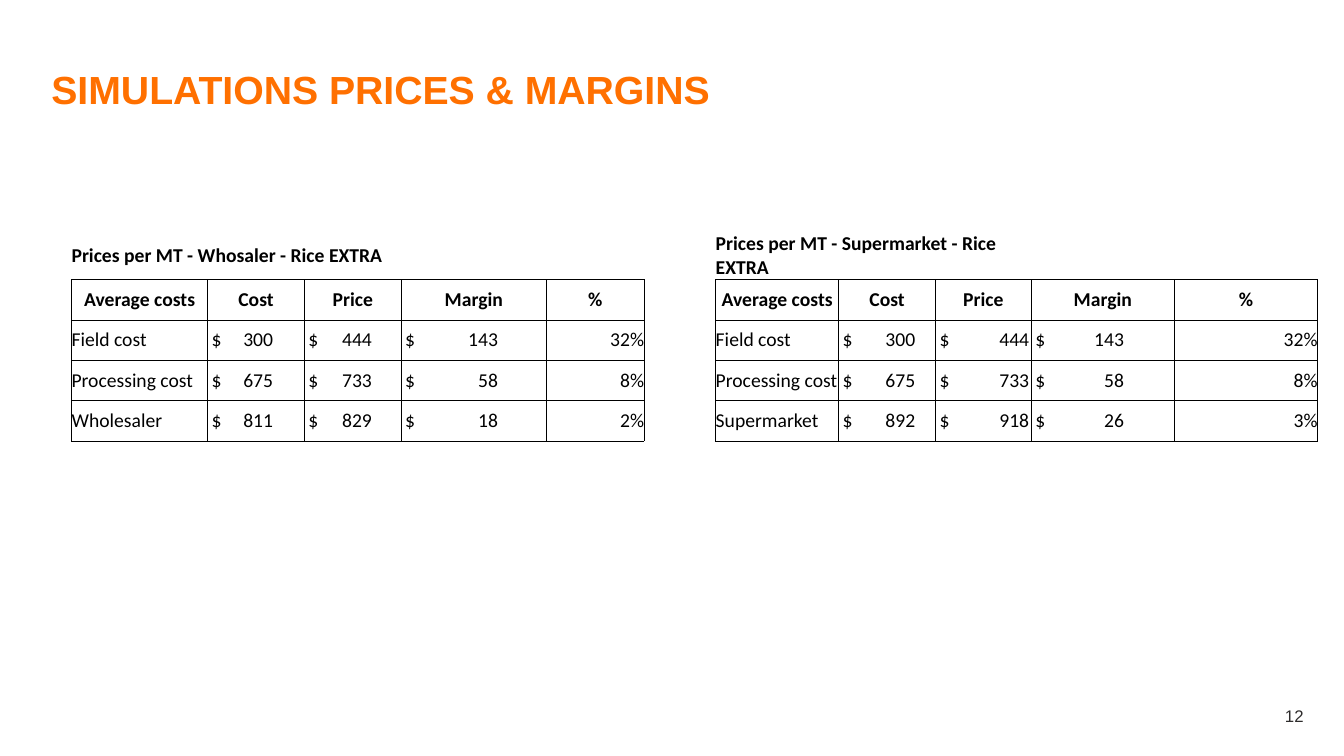
from lxml import etree
from pptx import Presentation
from pptx.dml.color import RGBColor
from pptx.enum import text as t
from pptx.oxml import ns
from pptx.util import Inches, Pt

ORANGE = RGBColor(0xFF, 0x70, 0x00)
BLACK = RGBColor(0x00, 0x00, 0x00)
GREY = RGBColor(0x2E, 0x2C, 0x2C)
NO_STYLE = "{2D5ABB26-0587-4C30-8999-92F81FD0307C}"

HEADINGS = ["Average costs", "Cost", "Price", "Margin", "%"]
WIDTHS = [1.35, 0.96, 0.96, 1.44, 0.97, 0.71, 1.22, 0.96, 0.95, 1.42, 1.42]
HEIGHTS = [0.47, 0.4, 0.4, 0.4, 0.4]

# First column, caption, right edges of the dollar amounts, rows
MARKETS = [
    (0, "Prices per MT - Whosaler - Rice EXTRA", [0.61, 0.63, 0.92], [
        ("Field cost", 300, 444, 143, "32%"),
        ("Processing cost", 675, 733, 58, "8%"),
        ("Wholesaler", 811, 829, 18, "2%")]),
    (6, "Prices per MT - Supermarket - Rice EXTRA", [0.72, 0.89, 0.88], [
        ("Field cost", 300, 444, 143, "32%"),
        ("Processing cost", 675, 733, 58, "8%"),
        ("Supermarket", 892, 918, 26, "3%")]),
]


def add_borders(cell, sides):
    for position, side in enumerate(sides):
        line = etree.Element(ns.qn("a:ln" + side), w=str(Pt(0.5)))
        fill = etree.SubElement(line, ns.qn("a:solidFill"))
        etree.SubElement(fill, ns.qn("a:srgbClr"), val=str(BLACK))
        cell._tc.get_or_add_tcPr().insert(position, line)


def write(cell, wording, align=t.PP_ALIGN.LEFT, bold=False, tab=None):
    paragraph = cell.text_frame.paragraphs[0]
    paragraph.text = wording
    paragraph.alignment = align
    if tab:
        cell.margin_left = Inches(0.04)
        stops = etree.SubElement(paragraph._p.get_or_add_pPr(), ns.qn("a:tabLst"))
        etree.SubElement(stops, ns.qn("a:tab"), pos=str(Inches(tab)), algn="r")
    paragraph.font.name = "Calibri"
    paragraph.font.size = Pt(14)
    paragraph.font.bold = bold
    paragraph.font.color.rgb = BLACK


prs = Presentation()
prs.slide_width, prs.slide_height = Inches(13.33), Inches(7.5)
slide = prs.slides.add_slide(prs.slide_layouts[5])

# Title
title = slide.shapes.title
title.left, title.top = Inches(0.41), Inches(0.65)
title.width, title.height = Inches(12.52), Inches(0.56)
title.text_frame.vertical_anchor = t.MSO_ANCHOR.TOP
title.text_frame.auto_size = t.MSO_AUTO_SIZE.NONE
heading = title.text_frame.paragraphs[0]
heading.text = "SIMULATIONS PRICES & MARGINS"
heading.alignment = t.PP_ALIGN.LEFT
heading.line_spacing = 0.9
heading.font.name = "Arial"
heading.font.size = Pt(28)
heading.font.bold = True
heading.font.color.rgb = ORANGE

# Price table, both markets side by side with a gap column
frame = slide.shapes.add_table(len(HEIGHTS), len(WIDTHS), Inches(0.71), Inches(2.3),
                               Inches(sum(WIDTHS)), Inches(sum(HEIGHTS)))
prices = frame.table
prices.first_row = prices.horz_banding = False
prices._tbl.tblPr.find(ns.qn("a:tableStyleId")).text = NO_STYLE
for column, width in zip(prices.columns, WIDTHS):
    column.width = Inches(width)
for row, height in zip(prices.rows, HEIGHTS):
    row.height = Inches(height)
for cell in prices.iter_cells():
    cell.margin_left = cell.margin_right = cell.margin_top = cell.margin_bottom = 0
    cell.vertical_anchor = t.MSO_ANCHOR.MIDDLE
    cell.fill.background()

for first, caption, tabs, rows in MARKETS:
    prices.cell(0, first).merge(prices.cell(0, first + 2))
    write(prices.cell(0, first), caption, bold=True)
    for offset, label in enumerate(HEADINGS):
        add_borders(prices.cell(0, first + offset), "B")
        write(prices.cell(1, first + offset), label, t.PP_ALIGN.CENTER, True)
        for r in range(1, len(HEIGHTS)):
            add_borders(prices.cell(r, first + offset), "LRTB")
    for r, (stage, *amounts, share) in enumerate(rows, 2):
        write(prices.cell(r, first), stage)
        for c, (amount, tab) in enumerate(zip(amounts, tabs), first + 1):
            write(prices.cell(r, c), f"$\t{amount}", tab=tab)
        write(prices.cell(r, first + 4), share, t.PP_ALIGN.RIGHT)

# Page number
page = slide.shapes.add_textbox(Inches(9.93), Inches(7), Inches(3), Inches(0.18)).text_frame
page.word_wrap = True
page.margin_left = page.margin_right = page.margin_top = page.margin_bottom = 0
number = page.paragraphs[0]
number.text = "12"
number.alignment = t.PP_ALIGN.RIGHT
number.font.name = "Arial"
number.font.size = Pt(12)
number.font.color.rgb = GREY

prs.save("out.pptx")
